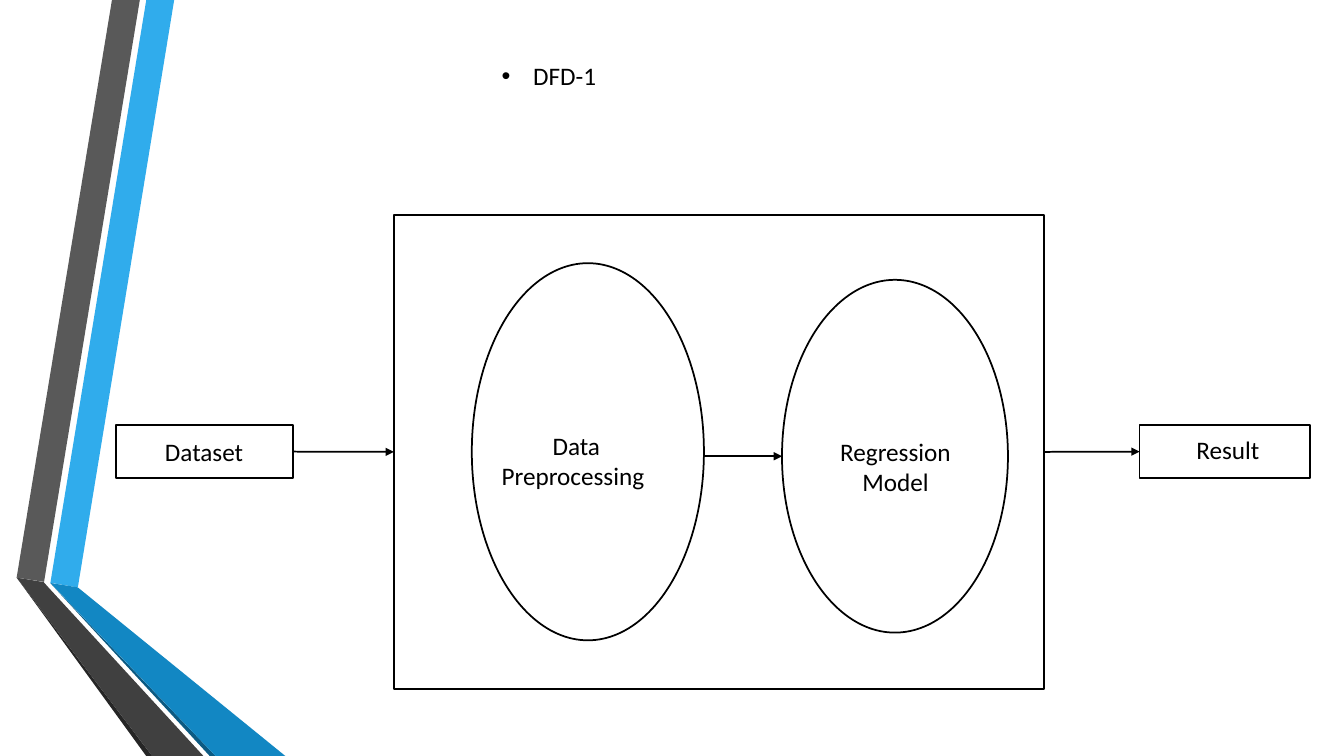
"""Build a level-1 data flow diagram slide with a ribbon on its left edge."""
import dataclasses
import typing

import lxml.etree
import pptx
import pptx.dml.color
import pptx.enum.shapes
import pptx.enum.text
import pptx.oxml
import pptx.oxml.ns
import pptx.shapes.autoshape
import pptx.util

Pt = pptx.util.Pt
RGBColor = pptx.dml.color.RGBColor
Kind = pptx.enum.shapes.MSO_SHAPE
Align = pptx.enum.text.PP_ALIGN
qn = pptx.oxml.ns.qn

BLACK = RGBColor(0x00, 0x00, 0x00)
WHITE = RGBColor(0xFF, 0xFF, 0xFF)
SKY = RGBColor(0x30, 0xAC, 0xEC)
BLUE = RGBColor(0x12, 0x87, 0xC3)
NAVY = RGBColor(0x0C, 0x5A, 0x82)
GREY = RGBColor(0x59, 0x59, 0x59)
CHARCOAL = RGBColor(0x40, 0x40, 0x40)
SOOT = RGBColor(0x26, 0x26, 0x26)

LINE_WIDTH = Pt(1.25)
LEFT_SIDE, RIGHT_SIDE = 1, 3
FONT_FORMAT = {"name": "Calibri", "size": Pt(18)}
FRAME_FORMAT = {
    "word_wrap": True,
    "auto_size": pptx.enum.text.MSO_AUTO_SIZE.SHAPE_TO_FIT_TEXT,
}


@dataclasses.dataclass(frozen=True)
class Ribbon:
    color: RGBColor
    points: tuple[tuple[float, float], ...]


@dataclasses.dataclass(frozen=True)
class Node:
    key: str
    kind: Kind
    left: float
    middle: float
    width: float
    height: float


@dataclasses.dataclass(frozen=True)
class Label:
    lines: tuple[str, ...]
    left: float
    top: float
    width: float
    height: float
    align: Align = Align.CENTER
    margin: float = 0
    indent: float = 0
    bullet: str = ""


RIBBONS = (
    Ribbon(SKY, ((36, 416.2), (55.6, 419.6), (124.4, 0), (104.5, 0))),
    Ribbon(GREY, ((99.9, 0), (80, 0), (11.9, 412.6), (31.5, 415.6))),
    Ribbon(SOOT, ((11.9, 412.6), (104.4, 540), (108.7, 540))),
    Ribbon(NAVY, ((36, 416.6), (149.8, 540), (154, 540))),
    Ribbon(BLUE, ((36, 416.4), (154, 540), (203.8, 540), (55.6, 419.6))),
    Ribbon(CHARCOAL, ((145.3, 540), (34.6, 419.6), (31.2, 415.8),
                      (11.9, 412.6), (108.7, 540))),
)
NODES = (
    Node("system", Kind.RECTANGLE, 281.4, 322.8, 464.4, 338.4),
    Node("preprocessing", Kind.OVAL, 337, 322.7, 165.8, 269.4),
    Node("model", Kind.OVAL, 558.6, 325.9, 161.4, 252),
    Node("dataset", Kind.RECTANGLE, 82.8, 322.6, 126.4, 38),
    Node("result", Kind.RECTANGLE, 814, 322.6, 122, 38),
)
FLOWS = (("dataset", "system"), ("preprocessing", "model"), ("system", "result"))
LABELS = (
    Label(("DFD-1",), 351.2, 39.6, 289.4, 29, Align.LEFT, 22.5, -22.5, "•"),
    Label(("Result",), 823.4, 306.7, 107.3, 29),
    Label(("Dataset",), 88.2, 308.2, 115.2, 29),
    Label(("Data Preprocessing",), 351.2, 303.8, 126, 51, Align.LEFT, indent=36.4),
    Label(("Regression", "Model"), 568, 308.2, 143.3, 51),
)


def apply_format(target: typing.Any, values: dict[str, typing.Any]) -> None:
    for name, value in values.items():
        setattr(target, name, value)


def draw_ribbon(page: typing.Any, ribbon: Ribbon) -> None:
    start, *rest = [(Pt(x), Pt(y)) for x, y in ribbon.points]
    builder = page.shapes.build_freeform(*start)
    builder.add_line_segments(rest, close=True)
    shape = builder.convert_to_shape()
    shape.shadow.inherit = False
    shape.fill.solid()
    shape.fill.fore_color.rgb = ribbon.color
    shape.line.fill.background()


def draw_node(page: typing.Any, node: Node) -> pptx.shapes.autoshape.Shape:
    shape = page.shapes.add_shape(
        node.kind, Pt(node.left), Pt(node.middle - node.height / 2),
        Pt(node.width), Pt(node.height))
    shape.shadow.inherit = False
    shape.fill.solid()
    shape.fill.fore_color.rgb = WHITE
    shape.line.color.rgb = BLACK
    shape.line.width = LINE_WIDTH
    return shape


def draw_flow(page: typing.Any, source: Node, target: Node,
              shapes: dict[str, pptx.shapes.autoshape.Shape]) -> None:
    arrow = page.shapes.add_connector(
        pptx.enum.shapes.MSO_CONNECTOR.STRAIGHT,
        Pt(source.left + source.width), Pt(target.middle),
        Pt(target.left), Pt(target.middle))
    if source.kind == Kind.RECTANGLE:
        arrow.begin_connect(shapes[source.key], RIGHT_SIDE)
    if target.kind == Kind.RECTANGLE:
        arrow.end_connect(shapes[target.key], LEFT_SIDE)
    arrow.line.color.rgb = BLACK
    arrow.line.width = LINE_WIDTH
    lxml.etree.SubElement(arrow.line._get_or_add_ln(), qn("a:tailEnd"), type="triangle")
    lxml.etree.SubElement(arrow._element.spPr, qn("a:effectLst"))


def draw_label(page: typing.Any, label: Label) -> None:
    box = page.shapes.add_textbox(
        Pt(label.left), Pt(label.top), Pt(label.width), Pt(label.height))
    frame = box.text_frame
    apply_format(frame, FRAME_FORMAT)
    for index, line in enumerate(label.lines):
        para = frame.add_paragraph() if index else frame.paragraphs[0]
        para.alignment = label.align
        span = para.add_run()
        span.text = line
        apply_format(span.font, FONT_FORMAT)
        span.font.color.rgb = BLACK
        properties = para._p.get_or_add_pPr()
        properties.set("marL", str(Pt(label.margin)))
        properties.set("indent", str(Pt(label.indent)))
        if label.bullet:
            lxml.etree.SubElement(properties, qn("a:buFont"), typeface="Arial")
            lxml.etree.SubElement(properties, qn("a:buChar"), char=label.bullet)


def main() -> None:
    deck = pptx.Presentation()
    apply_format(deck, {"slide_width": Pt(960), "slide_height": Pt(540)})
    page = deck.slides.add_slide(deck.slide_layouts[6])
    for ribbon in RIBBONS:
        draw_ribbon(page, ribbon)
    nodes = {node.key: node for node in NODES}
    shapes = {node.key: draw_node(page, node) for node in NODES}
    for source, target in FLOWS:
        draw_flow(page, nodes[source], nodes[target], shapes)
    for label in LABELS:
        draw_label(page, label)
    deck.save("out.pptx")


if __name__ == "__main__":
    main()
